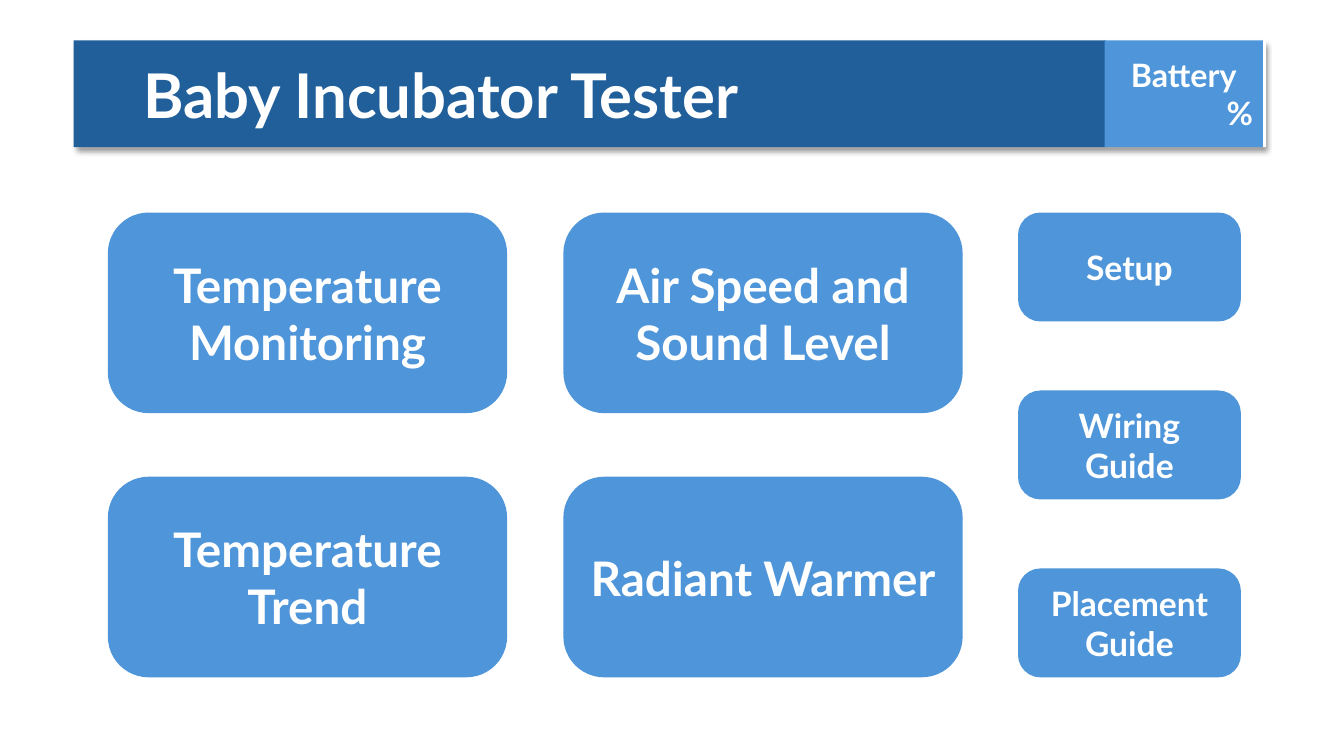
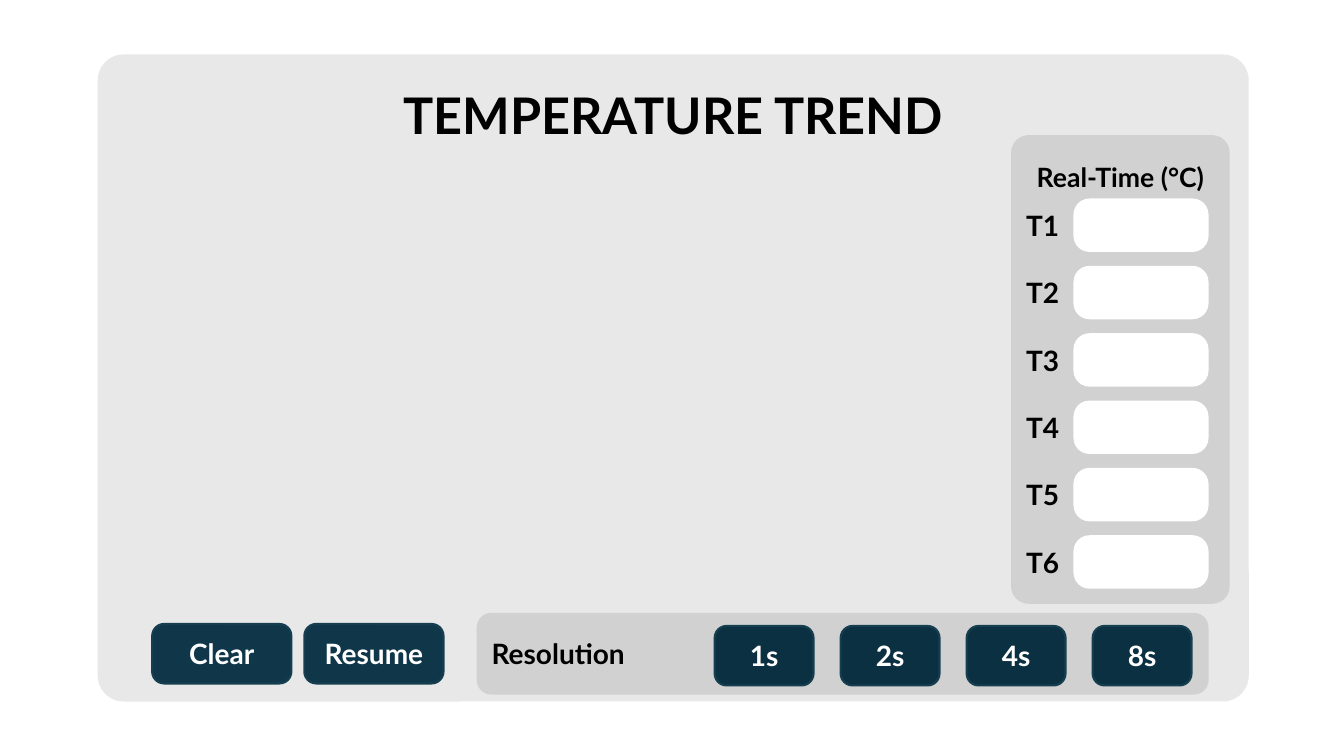
"""Build the menu and temperature trend screens of an incubator tester."""
from dataclasses import dataclass

from lxml import etree
from pptx import Presentation
from pptx.dml.color import RGBColor
from pptx.enum.shapes import MSO_SHAPE
from pptx.enum.text import MSO_ANCHOR, MSO_AUTO_SIZE, PP_ALIGN
from pptx.oxml.ns import qn
from pptx.presentation import Presentation as Deck
from pptx.shapes.autoshape import Shape
from pptx.slide import Slide
from pptx.util import Pt

RECTANGLE = MSO_SHAPE.RECTANGLE
ROUNDED = MSO_SHAPE.ROUNDED_RECTANGLE
LEFT, CENTER, RIGHT = PP_ALIGN.LEFT, PP_ALIGN.CENTER, PP_ALIGN.RIGHT
TOP, MIDDLE = MSO_ANCHOR.TOP, MSO_ANCHOR.MIDDLE
NO_AUTOFIT = MSO_AUTO_SIZE.NONE
TITLE_ONLY = 5


@dataclass(frozen=True)
class Theme:
    """Colours, font and type sizes shared by the slides."""

    font: str = "Lato"
    white: RGBColor = RGBColor(0xFF, 0xFF, 0xFF)
    black: RGBColor = RGBColor(0x00, 0x00, 0x00)
    blue: RGBColor = RGBColor(0x4E, 0x95, 0xD9)
    dark_blue: RGBColor = RGBColor(0x21, 0x5F, 0x9A)
    light_gray: RGBColor = RGBColor(0xE8, 0xE8, 0xE8)
    gray: RGBColor = RGBColor(0xD1, 0xD1, 0xD1)
    command: RGBColor = RGBColor(0x10, 0x37, 0x49)
    choice: RGBColor = RGBColor(0x0B, 0x30, 0x41)
    button_edge: RGBColor = RGBColor(0x16, 0x3E, 0x51)
    banner_size: float = 44
    title_size: float = 36
    tile_size: float = 34
    side_size: float = 24
    battery_size: float = 23
    control_size: float = 20
    heading_size: float = 19
    line_width: float = 1.5


@dataclass(frozen=True)
class Box:
    """A rectangle in points."""

    left: float
    top: float
    width: float
    height: float

    def shifted(self, across: float = 0, down: float = 0) -> "Box":
        """Return the same box moved by the given distances."""
        return Box(self.left + across, self.top + down, self.width, self.height)


@dataclass(frozen=True)
class TextStyle:
    """Size, colour and alignment of bold text."""

    size: float
    color: RGBColor
    align: PP_ALIGN = CENTER
    anchor: MSO_ANCHOR = MIDDLE


@dataclass(frozen=True)
class ShapeStyle:
    """Fill, outline and corner ratio of a box; no corner means square."""

    fill: RGBColor
    line: RGBColor | None = None
    corner: float | None = None


@dataclass(frozen=True)
class ButtonRun:
    """Equal buttons repeated at a fixed step."""

    labels: tuple[str, ...]
    first: Box
    style: ShapeStyle
    size: float
    across: float = 0
    down: float = 0


THEME = Theme()
BUTTON_CORNER = 0.2
TILE = ShapeStyle(THEME.blue, THEME.blue, BUTTON_CORNER)
COMMAND = ShapeStyle(THEME.command, THEME.button_edge, BUTTON_CORNER)
CHOICE = ShapeStyle(THEME.choice, THEME.button_edge, BUTTON_CORNER)
SCREEN = ShapeStyle(THEME.light_gray, corner=0.04)
READING_PANEL = ShapeStyle(THEME.gray, corner=0.08)
RESOLUTION_PANEL = ShapeStyle(THEME.gray, THEME.gray, 0.17)
FIELD = ShapeStyle(THEME.white, corner=0.3)

BANNER = Box(52.6, 28.8, 737.3, 76.3)
BANNER_INDENT = 49.7
BANNER_BACK = Box(54, 28.8, 850.3, 76.3)
BATTERY = Box(789.1, 28.8, 113, 76.3)

TILE_BOX = Box(77.8, 152.6, 283.7, 141.8)
TILE_STEP = 325.4
MENU = (
    ButtonRun(("Temperature Monitoring", "Temperature Trend"), TILE_BOX,
              TILE, THEME.tile_size, down=188.7),
    ButtonRun(("Air Speed and Sound Level", "Radiant Warmer"),
              TILE_BOX.shifted(across=TILE_STEP), TILE, THEME.tile_size,
              down=188.7),
    ButtonRun(("Setup", "Wiring Guide", "Placement Guide"),
              Box(727.9, 152.6, 157.7, 76.3), TILE, THEME.side_size, down=127.1),
)

SCREEN_BOX = Box(69.8, 38.9, 822.2, 462.2)
SCREEN_TITLE = Box(69.8, 56.2, 822.2, 50.4)
RESOLUTION_BOX = Box(341.3, 438.5, 521.3, 56.9)
READING_BOX = Box(722.2, 96.5, 156.2, 334.8)
READING_TOP_MARGIN = 15
FIELD_BOX = Box(766.8, 141.8, 96.5, 38.2)
LABEL_BOX = Box(733, 141.8, 33.8, 38.2)
FIELD_STEP = 48.1
FIELD_COUNT = 6
CONTROLS = (
    ButtonRun(("Clear", "Resume"), Box(108.7, 445.7, 99.4, 42.5),
              COMMAND, THEME.control_size, across=108.7),
    ButtonRun(("1s", "2s", "4s", "8s"), Box(510.5, 447.1, 70.6, 42.5),
              CHOICE, THEME.control_size, across=90),
)


def write(shape: Shape, lines: tuple[str, ...], style: TextStyle) -> None:
    """Fill a shape with one paragraph for each line."""
    frame = shape.text_frame
    frame.word_wrap = True
    frame.auto_size = NO_AUTOFIT
    frame.vertical_anchor = style.anchor
    frame.text = "\n".join(lines)
    for paragraph in frame.paragraphs:
        paragraph.alignment = style.align
        paragraph.font.name = THEME.font
        paragraph.font.size = Pt(style.size)
        paragraph.font.bold = True
        paragraph.font.color.rgb = style.color


def add_box(slide: Slide, box: Box, style: ShapeStyle) -> Shape:
    """Add a plain or rounded rectangle without a shadow."""
    kind = RECTANGLE if style.corner is None else ROUNDED
    shape = slide.shapes.add_shape(
        kind, Pt(box.left), Pt(box.top), Pt(box.width), Pt(box.height))
    shape.shadow.inherit = False
    shape.fill.solid()
    shape.fill.fore_color.rgb = style.fill
    if style.line is None:
        shape.line.fill.background()
    else:
        shape.line.color.rgb = style.line
        shape.line.width = Pt(THEME.line_width)
    if style.corner is not None:
        shape.adjustments[0] = style.corner
    return shape


def add_buttons(slide: Slide, run: ButtonRun) -> None:
    """Add a row or column of labelled buttons."""
    for index, label in enumerate(run.labels):
        box = run.first.shifted(index * run.across, index * run.down)
        write(add_box(slide, box, run.style), (label,),
              TextStyle(run.size, THEME.white))


def add_label(slide: Slide, box: Box, text: str, style: TextStyle) -> None:
    """Add a text box without side margins."""
    label = slide.shapes.add_textbox(
        Pt(box.left), Pt(box.top), Pt(box.width), Pt(box.height))
    label.text_frame.margin_left = label.text_frame.margin_right = Pt(0)
    write(label, (text,), style)


def place_title(slide: Slide, box: Box, text: str, style: TextStyle) -> Shape:
    """Move the title placeholder to a box, in front of the shapes so far."""
    title = slide.shapes.title
    title.left, title.top = Pt(box.left), Pt(box.top)
    title.width, title.height = Pt(box.width), Pt(box.height)
    write(title, (text,), style)
    slide.shapes.element.append(title.element)
    return title


def add_soft_shadow(shape: Shape) -> None:
    """Give a shape a soft black shadow that falls straight down."""
    effects = shape.element.spPr.find(qn("a:effectLst"))
    shadow = etree.SubElement(
        effects, qn("a:outerShdw"), blurRad=str(Pt(4)), dist=str(Pt(3)),
        dir="5400000", algn="t", rotWithShape="0")
    color = etree.SubElement(shadow, qn("a:srgbClr"), val=str(THEME.black))
    etree.SubElement(color, qn("a:alpha"), val="40000")


def build_menu(presentation: Deck) -> None:
    """Build the main menu slide."""
    slide = presentation.slides.add_slide(presentation.slide_layouts[TITLE_ONLY])
    for run in MENU:
        add_buttons(slide, run)
    add_soft_shadow(add_box(slide, BANNER_BACK, ShapeStyle(THEME.white)))
    title = place_title(slide, BANNER, "Baby Incubator Tester",
                        TextStyle(THEME.banner_size, THEME.white, LEFT))
    title.text_frame.margin_left = Pt(BANNER_INDENT)
    title.fill.solid()
    title.fill.fore_color.rgb = THEME.dark_blue
    battery = add_box(slide, BATTERY, ShapeStyle(THEME.blue))
    write(battery, ("Battery", "%"), TextStyle(THEME.battery_size, THEME.white))
    battery.text_frame.paragraphs[1].alignment = RIGHT


def build_trend(presentation: Deck) -> None:
    """Build the temperature trend slide."""
    slide = presentation.slides.add_slide(presentation.slide_layouts[TITLE_ONLY])
    add_box(slide, SCREEN_BOX, SCREEN)
    place_title(slide, SCREEN_TITLE, "TEMPERATURE TREND",
                TextStyle(THEME.title_size, THEME.black))
    label_style = TextStyle(THEME.control_size, THEME.black, LEFT)
    write(add_box(slide, RESOLUTION_BOX, RESOLUTION_PANEL), ("Resolution",),
          label_style)
    for run in CONTROLS:
        add_buttons(slide, run)
    readings = add_box(slide, READING_BOX, READING_PANEL)
    readings.text_frame.margin_top = Pt(READING_TOP_MARGIN)
    write(readings, ("Real-Time (°C)",),
          TextStyle(THEME.heading_size, THEME.black, anchor=TOP))
    for index in range(FIELD_COUNT):
        down = index * FIELD_STEP
        add_label(slide, LABEL_BOX.shifted(down=down), f"T{index + 1}", label_style)
        add_box(slide, FIELD_BOX.shifted(down=down), FIELD)


def main() -> None:
    """Build and save the presentation."""
    presentation = Presentation()
    presentation.slide_width, presentation.slide_height = Pt(960), Pt(540)
    build_menu(presentation)
    build_trend(presentation)
    presentation.save("out.pptx")


if __name__ == "__main__":
    main()
